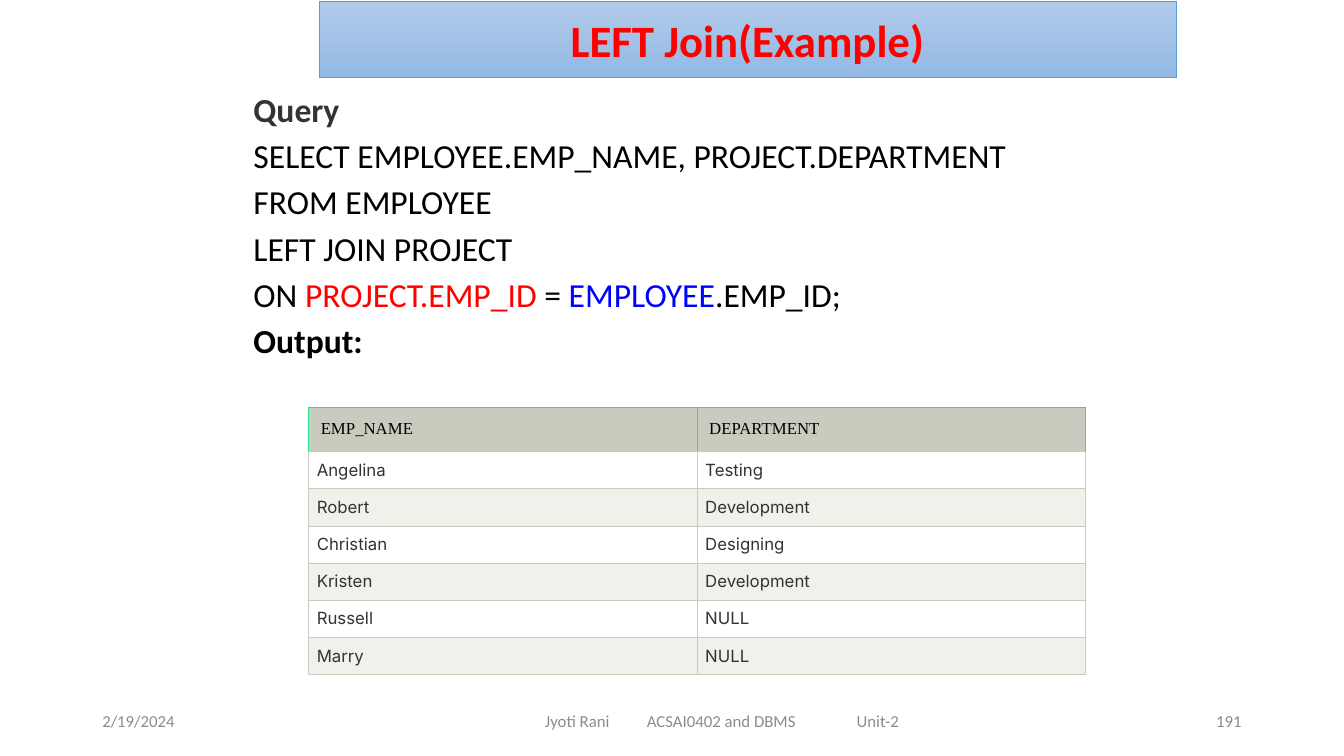
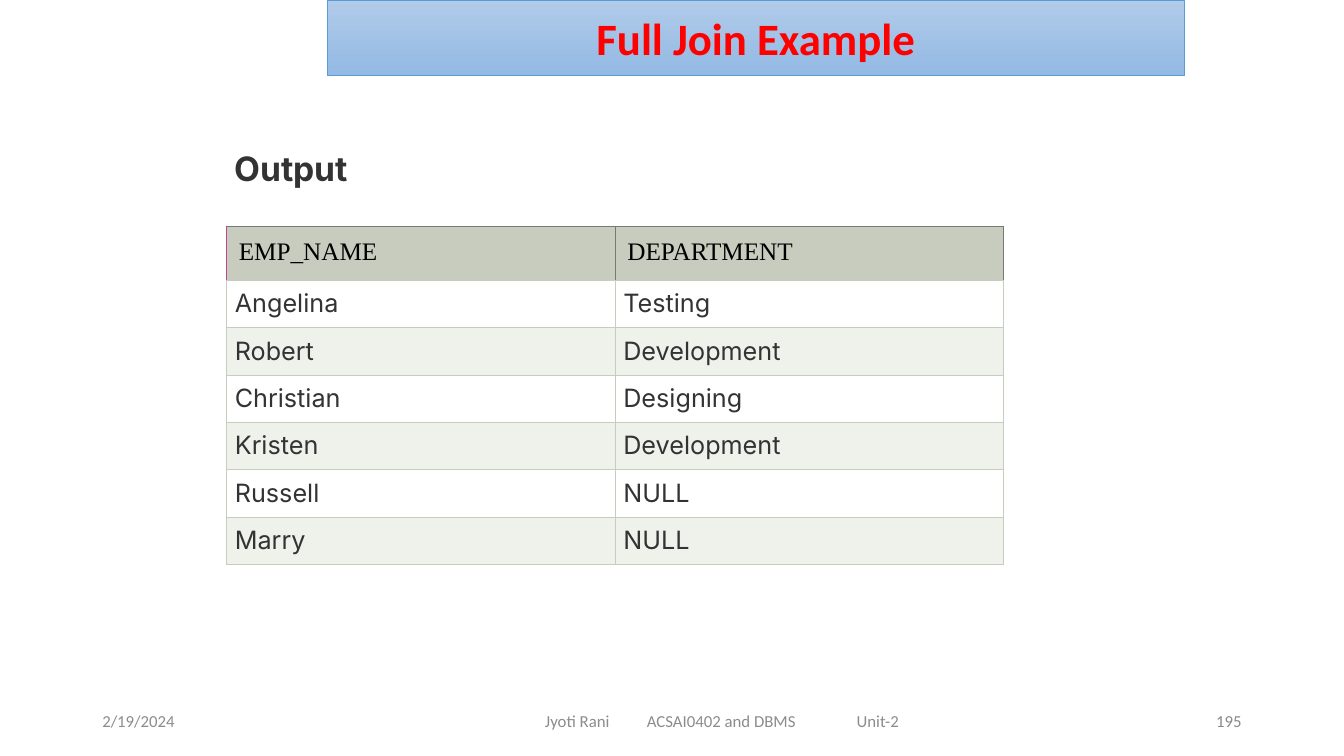
from lxml import etree
from pptx import Presentation
from pptx.dml.color import RGBColor
from pptx.enum.shapes import MSO_SHAPE
from pptx.enum.text import MSO_ANCHOR, PP_ALIGN
from pptx.oxml.ns import qn
from pptx.util import Inches, Pt

RECTANGLE = MSO_SHAPE.RECTANGLE
TOP, MIDDLE = MSO_ANCHOR.TOP, MSO_ANCHOR.MIDDLE
LEFT, CENTER, RIGHT, JUSTIFY = PP_ALIGN.LEFT, PP_ALIGN.CENTER, PP_ALIGN.RIGHT, PP_ALIGN.JUSTIFY

BLACK = RGBColor(0x00, 0x00, 0x00)
WHITE = RGBColor(0xFF, 0xFF, 0xFF)
RED = RGBColor(0xFF, 0x00, 0x00)
BLUE = RGBColor(0x00, 0x00, 0xFF)
INK = RGBColor(0x33, 0x33, 0x33)
FOOTER_GREY = RGBColor(0x8C, 0x8C, 0x8C)
NUMBER_GREY = RGBColor(0x89, 0x89, 0x89)
BANNER_TOP = RGBColor(0xB1, 0xCB, 0xE9)
BANNER_BOTTOM = RGBColor(0x93, 0xB9, 0xE4)
BANNER_LINE = RGBColor(0x5B, 0x9B, 0xD5)
SAGE = RGBColor(0xC7, 0xCC, 0xBE)
STRIPE = RGBColor(0xEF, 0xF1, 0xEB)
GREEN_EDGE = RGBColor(0x20, 0xE5, 0x8E)
PINK_EDGE = RGBColor(0xC0, 0x45, 0x8C)
LIGHT_EDGE = RGBColor(0x9F, 0xA0, 0x95)
DARK_EDGE = RGBColor(0x77, 0x78, 0x6F)

BODY_FONT, TABLE_FONT, HEADER_FONT = "Calibri", "Inter", "Times New Roman"

COLUMNS, ROWS = 160, 90
UNIT = Inches(7.5) // ROWS

DATE = "2/19/2024"
COURSE = "Jyoti Rani\tACSAI0402 and DBMS\tUnit-2"
COURSE_TABS = (12.12, 37.1)

EMPLOYEES = (
    ("EMP_NAME", "DEPARTMENT"),
    ("Angelina", "Testing"),
    ("Robert", "Development"),
    ("Christian", "Designing"),
    ("Kristen", "Development"),
    ("Russell", "NULL"),
    ("Marry", "NULL"),
)

# Each line is a list of (text, colour, bold)
QUERY = (
    [("Query", INK, True)],
    [("SELECT EMPLOYEE.EMP_NAME, PROJECT.DEPARTMENT", BLACK, False)],
    [("FROM EMPLOYEE", BLACK, False)],
    [("LEFT JOIN PROJECT", BLACK, False)],
    [("ON ", BLACK, False), ("PROJECT.EMP_ID", RED, False), (" = ", BLACK, False),
     ("EMPLOYEE", BLUE, False), (".EMP_ID;", BLACK, False)],
    [("Output:", BLACK, True)],
)


def grid(*cells):
    """Turn grid columns or rows into lengths."""
    return [round(cell * UNIT) for cell in cells]


def set_values(target, values):
    for name, value in values.items():
        setattr(target, name, value)


def set_borders(cell, colours):
    """Draw cell sides; colours run left, right, top, bottom."""
    properties = cell._tc.get_or_add_tcPr()
    for side, colour in zip("LRTB", colours):
        line = etree.SubElement(properties, qn(f"a:ln{side}"), w=str(Pt(0.75)))
        fill = etree.SubElement(line, qn("a:solidFill"))
        etree.SubElement(fill, qn("a:srgbClr"), val=str(colour))


class Deck:
    def __init__(self):
        self.presentation = Presentation()
        width, height = grid(COLUMNS, ROWS)
        set_values(self.presentation, {"slide_width": width, "slide_height": height})
        self.slide = None

    def new_slide(self, number):
        """Start a slide with its footer."""
        layout = self.presentation.slide_layouts[6]
        self.slide = self.presentation.slides.add_slide(layout)
        for left, width, text, colour, align, tabs in (
            (11, 36, DATE, FOOTER_GREY, LEFT, ()),
            (63.7, 55.3, COURSE, FOOTER_GREY, LEFT, COURSE_TABS),
            (113, 36, number, NUMBER_GREY, RIGHT, ()),
        ):
            self.text((left, 83.4, width, 4.8), [[(text, colour, False)]], 12,
                      {"alignment": align}, anchor=MIDDLE, tabs=tabs)

    def add_runs(self, paragraph, runs, size, font=BODY_FONT):
        for text, colour, bold in runs:
            run = paragraph.add_run()
            run.text = text
            set_values(run.font, {"size": Pt(size), "name": font, "bold": bold})
            run.font.color.rgb = colour

    def text(self, box, lines, size, layout, font=BODY_FONT, anchor=TOP, gap=0, tabs=()):
        frame = self.slide.shapes.add_textbox(*grid(*box)).text_frame
        set_values(frame, {"word_wrap": True, "vertical_anchor": anchor})
        for index, runs in enumerate(lines):
            paragraph = frame.add_paragraph() if index else frame.paragraphs[0]
            set_values(paragraph, layout)
            if index:
                paragraph.space_before = Pt(gap)
            if tabs:
                stops = etree.SubElement(paragraph._p.get_or_add_pPr(), qn("a:tabLst"))
                for position in grid(*tabs):
                    etree.SubElement(stops, qn("a:tab"), pos=str(position), algn="l")
            self.add_runs(paragraph, runs, size, font)

    def banner(self, left, top, title):
        banner = self.slide.shapes.add_shape(RECTANGLE, *grid(left, top, 102, 9))
        banner.shadow.inherit = False
        banner.fill.gradient()
        banner.fill.gradient_angle = 270
        for stop, colour in zip(banner.fill.gradient_stops, (BANNER_TOP, BANNER_BOTTOM)):
            stop.color.rgb = colour
        banner.line.color.rgb = BANNER_LINE
        banner.line.width = Pt(0.5)
        banner.text_frame.vertical_anchor = MIDDLE
        heading = banner.text_frame.paragraphs[0]
        heading.alignment = CENTER
        self.add_runs(heading, [(title, RED, True)], 32)

    def table(self, left, top, header_height, row_height, size, outer_edge, edge):
        """Add the employee table; the two edges colour the header's borders."""
        heights = [header_height] + [row_height] * (len(EMPLOYEES) - 1)
        box = grid(left, top, 92.5, sum(heights))
        table = self.slide.shapes.add_table(len(EMPLOYEES), 2, *box).table
        set_values(table, {"first_row": False, "horz_banding": False})
        for row, height in zip(table.rows, grid(*heights)):
            row.height = height
        for r, record in enumerate(EMPLOYEES):
            header = r == 0
            inset = Inches(0.12 if header else 0.08)
            fill = SAGE if header else (STRIPE, WHITE)[r % 2]
            for c, value in enumerate(record):
                cell = table.cell(r, c)
                set_values(cell, {f"margin_{side}": inset
                                  for side in ("left", "right", "top", "bottom")})
                first_edge = edge if c else outer_edge
                set_borders(cell, (first_edge, edge, edge, SAGE) if header else [SAGE] * 4)
                cell.fill.solid()
                cell.fill.fore_color.rgb = fill
                paragraph = cell.text_frame.paragraphs[0]
                paragraph.alignment = LEFT if header else JUSTIFY
                self.add_runs(paragraph, [(value, BLACK if header else INK, False)], size,
                              HEADER_FONT if header else TABLE_FONT)


def main():
    deck = Deck()

    deck.new_slide("191")
    deck.text((29, 10.9, 108, 34), QUERY, 24,
              {"alignment": JUSTIFY, "line_spacing": 0.8}, gap=10)
    deck.table(36.75, 48.5, 5.25, 4.43, 12, GREEN_EDGE, LIGHT_EDGE)
    deck.banner(38, 0.2, "LEFT Join(Example)")

    deck.new_slide("195")
    deck.table(27, 26.9, 6.3, 5.64, 18, PINK_EDGE, DARK_EDGE)
    deck.text((26.75, 17, 80, 6), [[("Output", INK, True)]], 24,
              {"alignment": LEFT}, font=TABLE_FONT)
    deck.banner(39, 0, "Full Join Example")

    deck.presentation.save("out.pptx")


if __name__ == "__main__":
    main()
